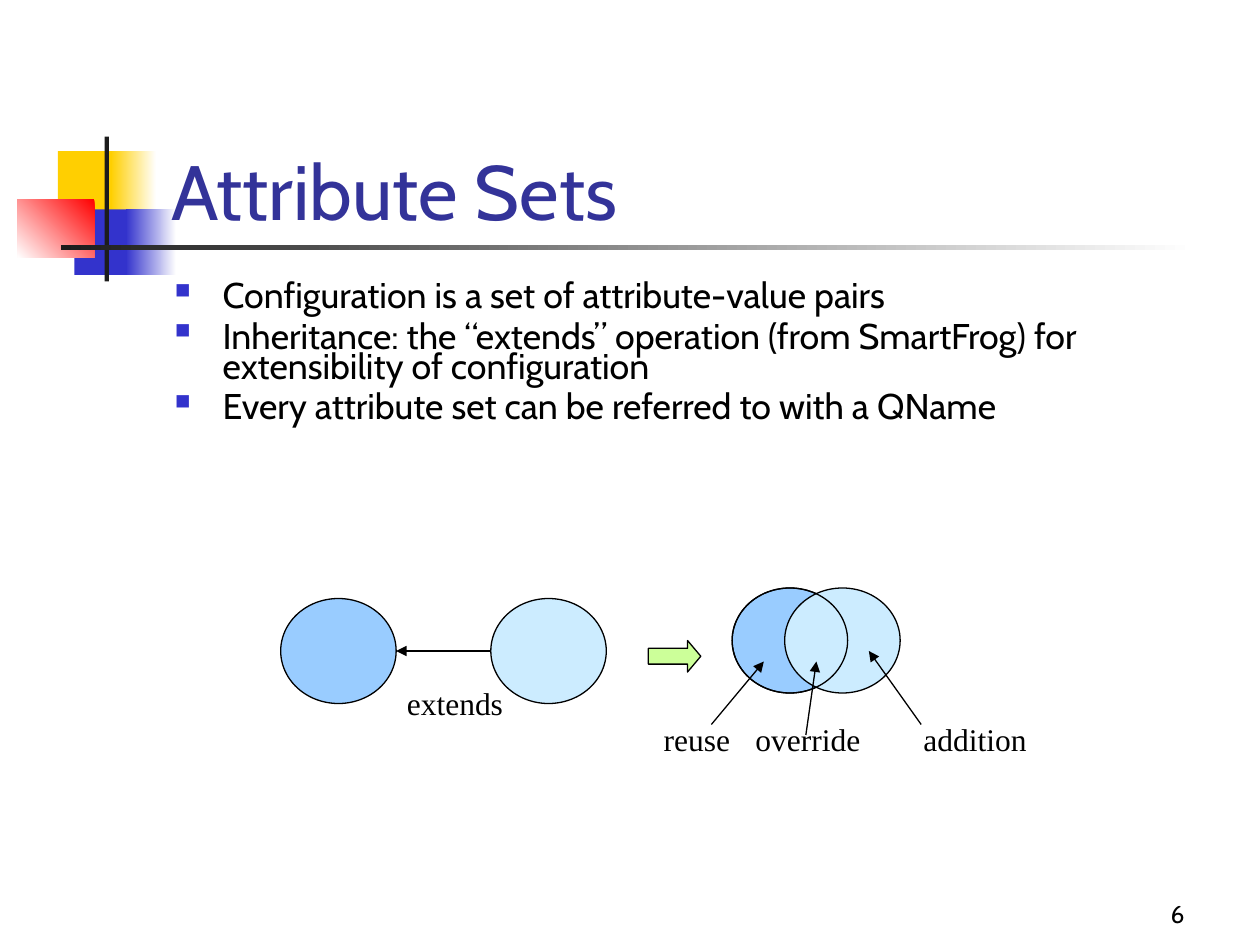
import pptx
import pptx.dml.color
import pptx.enum.shapes
import pptx.enum.text
import pptx.oxml
import pptx.oxml.ns
import pptx.util
from pptx.util import Pt

RGBColor = pptx.dml.color.RGBColor
SHAPE = pptx.enum.shapes.MSO_SHAPE
ANCHOR = pptx.enum.text.MSO_ANCHOR
ALIGN = pptx.enum.text.PP_ALIGN

WHITE = RGBColor(0xFF, 0xFF, 0xFF)
BLACK = RGBColor(0x00, 0x00, 0x00)
YELLOW = RGBColor(0xFF, 0xCF, 0x01)
BLUE = RGBColor(0x33, 0x33, 0xCC)
RED = RGBColor(0xFF, 0x00, 0x00)
CHARCOAL = RGBColor(0x1C, 0x1C, 0x1C)
TITLE_BLUE = RGBColor(0x33, 0x33, 0x99)
BASE_BLUE = RGBColor(0x99, 0xCC, 0xFF)
PALE_BLUE = RGBColor(0xCC, 0xEC, 0xFF)
GREEN = RGBColor(0xCC, 0xFF, 0x99)

deck = pptx.Presentation()
deck.slide_width, deck.slide_height = Pt(720), Pt(540)
page = deck.slides.add_slide(deck.slide_layouts[6])
namespace = pptx.oxml.ns.nsdecls("a")


def add_block(kind, left, top, width, height, fill=None, outlined=False):
    shape = page.shapes.add_shape(kind, Pt(left), Pt(top), Pt(width), Pt(height))
    shape.shadow.inherit = False
    if fill is None:
        shape.fill.background()
    else:
        shape.fill.solid()
        shape.fill.fore_color.rgb = fill
    if outlined:
        shape.line.color.rgb = BLACK
        shape.line.width = Pt(0.75)
    else:
        shape.line.fill.background()
    return shape


def add_text(lines, left, top, width, height, size, font, color=BLACK):
    box = page.shapes.add_textbox(Pt(left), Pt(top), Pt(width), Pt(height))
    frame = box.text_frame
    frame.word_wrap = True
    frame.text = "\n".join(lines)
    for para in frame.paragraphs:
        for span in para.runs:
            span.font.size = Pt(size)
            span.font.name = font
            span.font.color.rgb = color
    return frame


# Corner ornament and title rule: solid or two-colour gradient rectangles
ornament = [
    (33.1, 86.4, 34.6, 37.4, (YELLOW,), None),
    (63.4, 86.4, 25.9, 37.4, (WHITE, YELLOW), 180),
    (42.5, 119.7, 33.1, 37.4, (BLUE,), None),
    (72, 119.7, 28.8, 37.4, (WHITE, BLUE), 180),
    (10, 113.8, 44, 33.4, (RED, WHITE), 225),
    (59.8, 78, 2.4, 82.8, (CHARCOAL,), None),
    (34.8, 140.2, 648, 2.4, (WHITE, CHARCOAL), 180),
]
for left, top, width, height, colors, angle in ornament:
    block = add_block(SHAPE.RECTANGLE, left, top, width, height, colors[0])
    if angle is not None:
        block.fill.gradient()
        block.fill.gradient_angle = angle
        for stop, color, position in zip(block.fill.gradient_stops, colors, (0, 1)):
            stop.color.rgb = color
            stop.position = position

# Title
title = add_text(["Attribute Sets"], 90.7, 48.2, 613.4, 90, 44, "Cabin", TITLE_BLUE)
title.vertical_anchor = ANCHOR.BOTTOM

# Bullets
body = add_text([
    "Configuration is a set of attribute-value pairs",
    "Inheritance: the “extends” operation (from SmartFrog) for extensibility of configuration",
    "Every attribute set can be referred to with a QName",
], 92.9, 159.1, 612, 90, 20.4, "Cabin")
for index, para in enumerate(body.paragraphs):
    para.line_spacing = 0.7
    para.space_before = Pt(6 if index else 0)
    properties = para._p.get_or_add_pPr()
    properties.set("marL", str(Pt(27.3)))
    properties.set("indent", str(-Pt(27.3)))
    for bullet in (
        f'<a:buClr {namespace}><a:srgbClr val="{BLUE}"/></a:buClr>',
        f'<a:buSzPct {namespace} val="60000"/>',
        f'<a:buChar {namespace} char="■"/>',
    ):
        properties.append(pptx.oxml.parse_xml(bullet))

# Attribute sets before and after the extension; the last circle is outline only
for left, top, fill in [
    (160.4, 342, BASE_BLUE), (280.5, 342, PALE_BLUE),
    (418.4, 336, BASE_BLUE), (448.4, 336, PALE_BLUE), (418.4, 336, None),
]:
    add_block(SHAPE.OVAL, left, top, 66, 60, fill, outlined=True)
result_arrow = add_block(SHAPE.RIGHT_ARROW, 370.5, 366, 30, 18, GREEN, outlined=True)
result_arrow.adjustments[0] = 0.5
result_arrow.adjustments[1] = 0.42

# Diagram labels: one line each, in a box that fits its text
for label, left, top, width in [
    ("extends", 225.4, 387.4, 70), ("reuse", 372.2, 408, 53),
    ("override", 424.6, 408, 75), ("addition", 520.6, 408, 74),
]:
    frame = add_text([label], left, top, width, 28.8, 18, "Times New Roman")
    frame.word_wrap = False
    frame.auto_size = pptx.enum.text.MSO_AUTO_SIZE.SHAPE_TO_FIT_TEXT

# Arrows
for start_x, start_y, end_x, end_y in [
    (280.5, 372, 226.4, 372),
    (526.4, 414, 496.5, 372),
    (460.5, 420, 466.5, 378),
    (406.5, 414, 436.5, 378),
]:
    arrow = page.shapes.add_connector(
        pptx.enum.shapes.MSO_CONNECTOR.STRAIGHT,
        Pt(start_x), Pt(start_y), Pt(end_x), Pt(end_y))
    arrow.line.color.rgb = BLACK
    arrow.line.width = Pt(0.75)
    arrow.line._get_or_add_ln().append(
        pptx.oxml.parse_xml(f'<a:tailEnd {namespace} type="triangle"/>'))
    arrow._element.spPr.append(pptx.oxml.parse_xml(f"<a:effectLst {namespace}/>"))

# Page number
number = add_text(["6"], 534, 498, 150, 36, 14, "Cabin")
number.vertical_anchor = ANCHOR.BOTTOM
number.paragraphs[0].alignment = ALIGN.RIGHT

deck.save("out.pptx")
